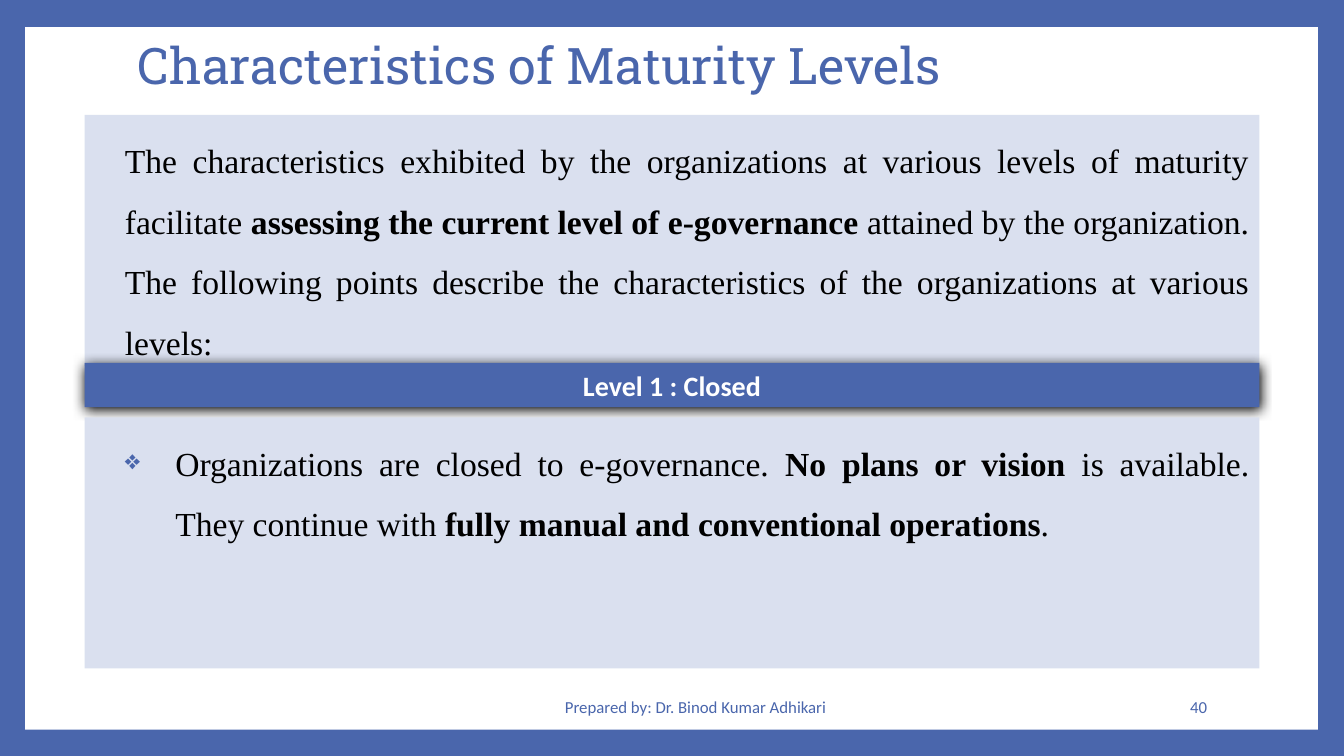
from lxml.etree import SubElement
from pptx import Presentation
from pptx.dml.color import RGBColor
from pptx.enum.shapes import MSO_SHAPE
from pptx.enum.text import MSO_ANCHOR, PP_ALIGN
from pptx.oxml.ns import qn
from pptx.util import Inches, Pt

BLUE = RGBColor(0x4A, 0x66, 0xAC)
PALE_BLUE = RGBColor(0xDA, 0xE0, 0xEF)
WHITE = RGBColor(0xFF, 0xFF, 0xFF)
BLACK = RGBColor(0x00, 0x00, 0x00)

PANEL_LEFT, PANEL_WIDTH, PANEL_HEIGHT = 0.84, 11.65, 2.49
FOOTER_TOP, FOOTER_HEIGHT = 6.81, 0.4

presentation = Presentation()
presentation.slide_width = Inches(13.33)
presentation.slide_height = Inches(7.5)
slide = presentation.slides.add_slide(presentation.slide_layouts[6])
slide.background.fill.solid()
slide.background.fill.fore_color.rgb = BLUE


def add_block(left, top, width, height, fill):
    block = slide.shapes.add_shape(
        MSO_SHAPE.RECTANGLE, Inches(left), Inches(top), Inches(width), Inches(height))
    block.shadow.inherit = False
    block.fill.solid()
    block.fill.fore_color.rgb = fill
    block.line.fill.background()
    return block


def write(box, *runs, font="Calibri", size=12, color=BLUE, align=PP_ALIGN.LEFT,
          anchor=MSO_ANCHOR.MIDDLE, spacing=None, after=None,
          margin=0, indent=0, bullet=None):
    """Fill a box with one paragraph made of (text, bold) runs."""
    frame = box.text_frame
    frame.word_wrap = True
    frame.vertical_anchor = anchor
    paragraph = frame.paragraphs[0]
    paragraph.alignment = align
    paragraph.line_spacing = spacing
    paragraph.space_after = after
    properties = paragraph._p.get_or_add_pPr()
    properties.set("marL", str(Inches(margin)))
    properties.set("indent", str(Inches(indent)))
    if bullet:
        bullet_color = SubElement(properties, qn("a:buClr"))
        SubElement(bullet_color, qn("a:srgbClr"), val=str(BLUE))
        SubElement(properties, qn("a:buSzPct"), val="80000")
        SubElement(properties, qn("a:buChar"), char=bullet)
    for text, bold in runs:
        run = paragraph.add_run()
        run.text = text
        run.font.name = font
        run.font.size = Pt(size)
        run.font.bold = bold
        run.font.color.rgb = color


add_block(0.25, 0.27, 12.82, 6.97, WHITE)

title = slide.shapes.add_textbox(Inches(1.27), Inches(0.36), Inches(10.8), Inches(0.63))
write(title, ("Characteristics of Maturity Levels", False),
      font="Roboto Slab", size=36, spacing=0.9)

body_format = dict(font="Times New Roman", size=24, color=BLACK, align=PP_ALIGN.JUSTIFY,
                   anchor=MSO_ANCHOR.TOP, spacing=1.5, after=Pt(4))

introduction = add_block(PANEL_LEFT, 1.14, PANEL_WIDTH, PANEL_HEIGHT, PALE_BLUE)
write(introduction,
      ("The characteristics exhibited by the organizations at various levels of maturity "
       "facilitate ", False),
      ("assessing the current level of e-governance ", True),
      ("attained by the organization. The following points describe the characteristics "
       "of the organizations at various levels:", False),
      margin=0.3, **body_format)

footers = [
    (4.32, 5.16, "Prepared by: Dr. Binod Kumar Adhikari", PP_ALIGN.CENTER),
    (10.2, 1.87, "40", PP_ALIGN.RIGHT),
]
for left, width, text, align in footers:
    footer = slide.shapes.add_textbox(
        Inches(left), Inches(FOOTER_TOP), Inches(width), Inches(FOOTER_HEIGHT))
    write(footer, (text, False), align=align)

level_heading = add_block(PANEL_LEFT, 3.6, PANEL_WIDTH, 0.44, BLUE)
effects = level_heading._element.spPr.find(qn("a:effectLst"))
shadow = SubElement(effects, qn("a:outerShdw"), blurRad=str(Pt(8.5)), dist=str(Pt(1)),
                    dir="5400000", algn="ctr", rotWithShape="0")
SubElement(shadow, qn("a:srgbClr"), val=str(BLACK))
write(level_heading, ("Level 1 : Closed", True),
      size=20, color=WHITE, align=PP_ALIGN.CENTER)

level_details = add_block(PANEL_LEFT, 4.14, PANEL_WIDTH, PANEL_HEIGHT, PALE_BLUE)
write(level_details,
      ("Organizations are closed to e-governance. ", False),
      ("No plans or vision ", True),
      ("is available. They continue with ", False),
      ("fully manual and conventional operations", True),
      (".", False),
      margin=0.8, indent=-0.5, bullet="❖", **body_format)

presentation.save("out.pptx")
